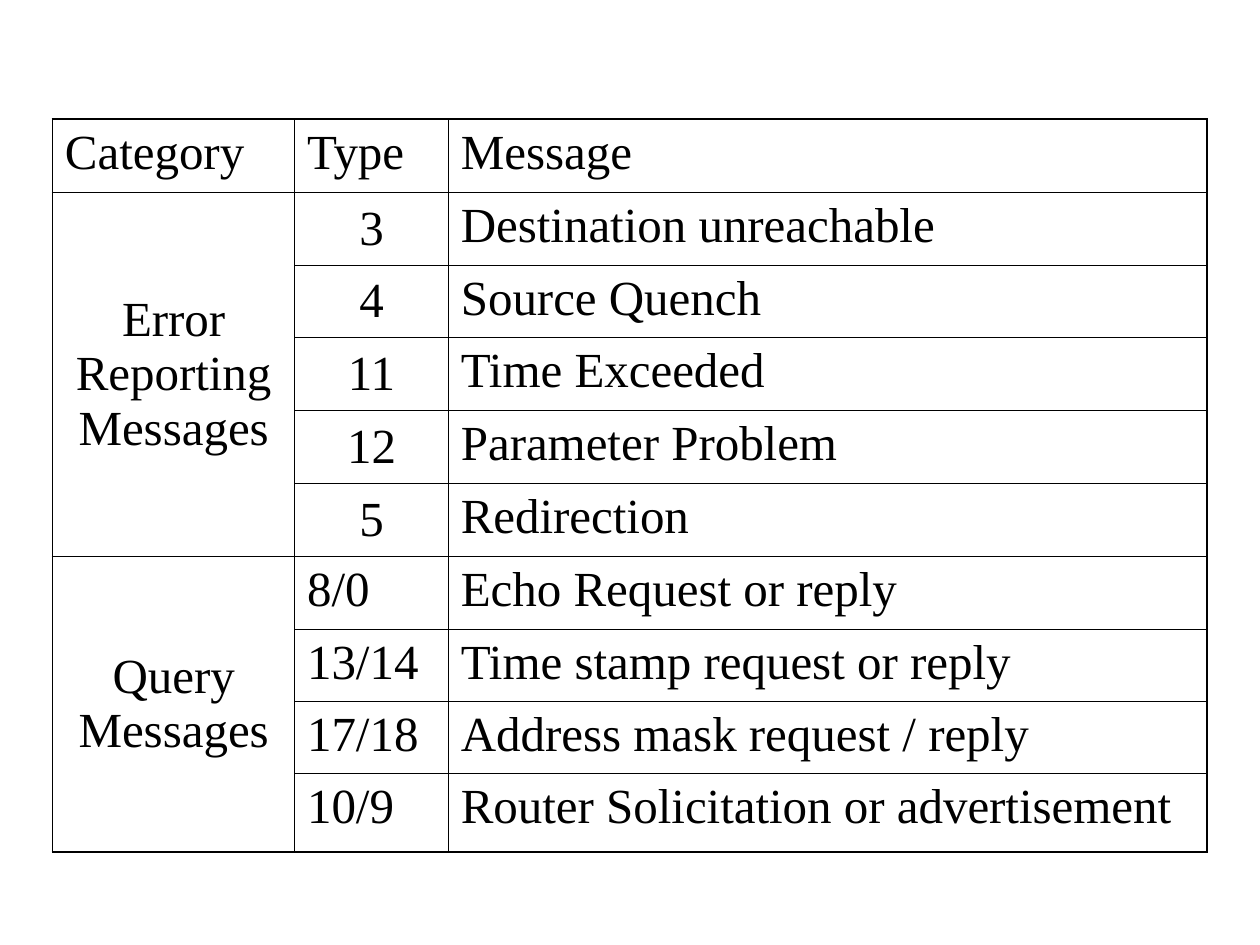
from lxml.etree import SubElement
from pptx import Presentation
from pptx.dml.color import RGBColor
from pptx.enum.text import MSO_ANCHOR, PP_ALIGN
from pptx.oxml.ns import qn
from pptx.util import Cm, Pt

BLACK = RGBColor(0x00, 0x00, 0x00)
FONT = {"name": "Times New Roman", "size": Pt(28)}
MARGINS = {"margin_left": Cm(0.25), "margin_right": Cm(0.25),
           "margin_top": Cm(0.13), "margin_bottom": Cm(0.13)}
INNER, OUTER = Pt(0.45), Pt(1.08)

COL_WIDTHS = [4.88, 3.1, 15.29]
ROW_HEIGHTS = [1.47] * 7 + [1.45] * 2 + [1.58]
HEADER = ["Category", "Type", "Message"]
CATEGORIES = {
    "Error Reporting Messages": [
        ("3", "Destination unreachable"),
        ("4", "Source Quench"),
        ("11", "Time Exceeded"),
        ("12", "Parameter Problem"),
        ("5", "Redirection"),
    ],
    "Query Messages": [
        ("8/0", "Echo Request or reply"),
        ("13/14", "Time stamp request or reply"),
        ("17/18", "Address mask request / reply"),
        ("10/9", "Router Solicitation or advertisement"),
    ],
}


def set_borders(cell, widths):
    """Draw solid black borders; widths maps a side (L, R, T, B) to a line width."""
    tcPr = cell._tc.get_or_add_tcPr()
    for side, width in widths.items():
        ln = SubElement(tcPr, qn(f"a:ln{side}"), w=str(int(width)))
        fill = SubElement(ln, qn("a:solidFill"))
        SubElement(fill, qn("a:srgbClr"), val=str(BLACK))


prs = Presentation()
prs.slide_width, prs.slide_height = Cm(25.4), Cm(19.05)
s = prs.slides.add_slide(prs.slide_layouts[6])

n_rows, n_cols = len(ROW_HEIGHTS), len(COL_WIDTHS)
table = s.shapes.add_table(n_rows, n_cols, Cm(1.06), Cm(2.4),
                           Cm(sum(COL_WIDTHS)), Cm(sum(ROW_HEIGHTS))).table
table.first_row = table.horz_banding = False
for col, width in zip(table.columns, COL_WIDTHS):
    col.width = Cm(width)
for row, height in zip(table.rows, ROW_HEIGHTS):
    row.height = Cm(height)

# Wording, with one merged category cell beside each group of messages
for c, title in enumerate(HEADER):
    table.cell(0, c).text = title
centred = set()
top = 1
for category, messages in CATEGORIES.items():
    bottom = top + len(messages) - 1
    table.cell(top, 0).merge(table.cell(bottom, 0))
    table.cell(top, 0).text = category
    centred.add((top, 0))
    for r, (code, message) in enumerate(messages, top):
        table.cell(r, 1).text = code
        table.cell(r, 2).text = message
        if category.startswith("Error"):
            centred.add((r, 1))
    top = bottom + 1

for r in range(n_rows):
    for c in range(n_cols):
        cell = table.cell(r, c)
        last_row = r + (cell.span_height if cell.is_merge_origin else 1) == n_rows
        set_borders(cell, {
            "L": OUTER if c == 0 else INNER,
            "R": OUTER if c == n_cols - 1 else INNER,
            "T": OUTER if r == 0 else INNER,
            "B": OUTER if last_row else INNER,
        })
        cell.fill.background()
        for name, value in MARGINS.items():
            setattr(cell, name, value)
        p = cell.text_frame.paragraphs[0]
        for name, value in FONT.items():
            setattr(p.font, name, value)
        p.font.color.rgb = BLACK
        if (r, c) in centred:
            p.alignment = PP_ALIGN.CENTER
            cell.vertical_anchor = MSO_ANCHOR.MIDDLE

prs.save("out.pptx")
